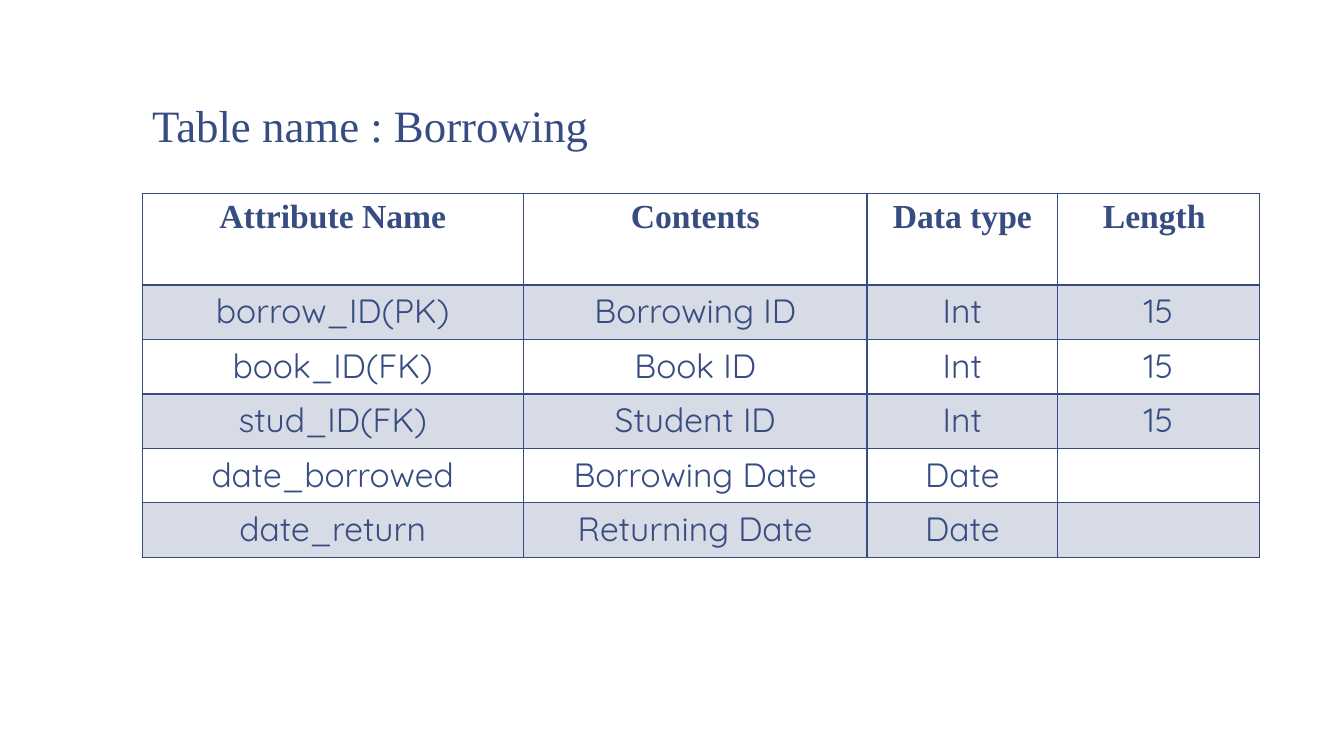
from lxml.etree import SubElement
from pptx import Presentation
from pptx.dml.color import RGBColor
from pptx.enum.text import MSO_AUTO_SIZE, PP_ALIGN
from pptx.oxml.ns import qn
from pptx.util import Inches, Pt

COLORS = {"navy": "374C81"}
SERIF, SANS = "Times New Roman", "Quicksand"
WIDTHS = [3.78, 3.41, 1.89, 2]
HEAD, ROW = 0.91, 0.54
ROWS = [
    ["Attribute Name", "Contents", "Data type", "Length "],
    ["borrow_ID(PK)", "Borrowing ID", "Int", "15"],
    ["book_ID(FK)", "Book ID", "Int", "15"],
    ["stud_ID(FK)", "Student ID", "Int", "15"],
    ["date_borrowed", "Borrowing Date", "Date", ""],
    ["date_return", "Returning Date", "Date", ""],
]


def write(frame, text, size=24, font=SANS, bold=False, align=PP_ALIGN.LEFT):
    """Put one formatted run into a text frame."""
    par = frame.paragraphs[0]
    par.alignment = align
    par.font.size = Pt(size)
    if text:
        run = par.add_run()
        run.text = text
        run.font.size = Pt(size)
        run.font.name = font
        run.font.bold = bold
        run.font.color.rgb = RGBColor.from_string(COLORS["navy"])


def border(cell, sides):
    """Draw cell borders from a map of side letter to width in points."""
    props = cell._tc.get_or_add_tcPr()
    for side, width in sides.items():
        line = SubElement(props, qn(f"a:ln{side}"), w=str(Pt(width)))
        fill = SubElement(line, qn("a:solidFill"))
        SubElement(fill, qn("a:srgbClr"), val=COLORS["navy"])


def shade(cell, alpha):
    """Fill a cell with navy at the given percentage of opacity."""
    cell.fill.solid()
    cell.fill.fore_color.rgb = RGBColor.from_string(COLORS["navy"])
    tint = cell._tc.tcPr.find(qn("a:solidFill")).find(qn("a:srgbClr"))
    SubElement(tint, qn("a:alpha"), val=str(alpha * 1000))


def title(slide, left, top, width, height):
    """Place the heading in its box."""
    box = slide.shapes.add_textbox(*map(Inches, (left, top, width, height)))
    box.text_frame.word_wrap = False
    box.text_frame.auto_size = MSO_AUTO_SIZE.SHAPE_TO_FIT_TEXT
    write(box.text_frame, "Table name : Borrowing", size=32, font=SERIF)


def grid(slide, left, top):
    """Place the attribute table with its corner at left, top."""
    high = HEAD + ROW * (len(ROWS) - 1)
    box = map(Inches, (left, top, sum(WIDTHS), high))
    table = slide.shapes.add_table(len(ROWS), len(WIDTHS), *box).table
    table.first_row = table.horz_banding = False
    for col, width in zip(table.columns, WIDTHS):
        col.width = Inches(width)
    for i, texts in enumerate(ROWS):
        head = i == 0
        table.rows[i].height = Inches(HEAD if head else ROW)
        for j, text in enumerate(texts):
            cell = table.cell(i, j)
            border(cell, {"L": 1, "R": 1, "T": 2 if i == 1 else 1, "B": 2 if head else 1})
            if i % 2:
                shade(cell, 20)
            else:
                cell.fill.background()
            write(cell.text_frame, text, font=SERIF if head else SANS,
                  bold=head, align=PP_ALIGN.CENTER)


def main():
    """Build and save the slide."""
    deck = Presentation()
    deck.slide_width, deck.slide_height = Inches(13.33), Inches(7.5)
    slide = deck.slides.add_slide(deck.slide_layouts[6])
    grid(slide, 1.41, 1.92)
    title(slide, 1.41, 0.92, 4.57, 0.64)
    deck.save("out.pptx")


if __name__ == "__main__":
    main()
